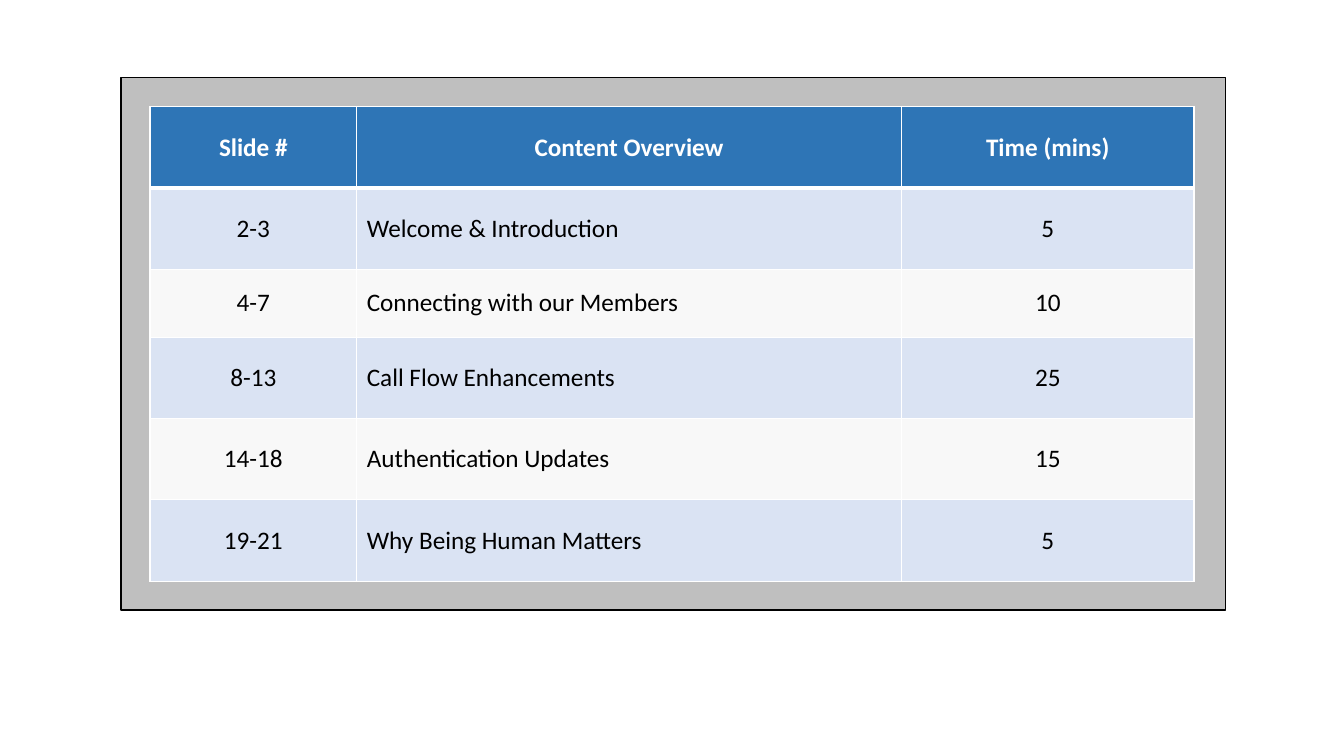
"""Build an agenda slide: a timing table set on a grey panel."""
from dataclasses import dataclass

from lxml import etree
from pptx import Presentation
from pptx.dml.color import RGBColor
from pptx.enum.shapes import MSO_SHAPE
from pptx.enum.text import MSO_ANCHOR, PP_ALIGN
from pptx.oxml.ns import qn
from pptx.slide import Slide
from pptx.table import _Cell
from pptx.util import Cm, Pt

RECTANGLE = MSO_SHAPE.RECTANGLE
MIDDLE = MSO_ANCHOR.MIDDLE
LEFT, CENTER = PP_ALIGN.LEFT, PP_ALIGN.CENTER


@dataclass(frozen=True)
class Theme:
    font: str = "Calibri"
    text_size: float = 18
    panel: str = "BFBFBF"
    outline: str = "000000"
    header: str = "2E75B6"
    header_text: str = "FFFFFF"
    body_text: str = "000000"
    odd_row: str = "DAE3F3"
    even_row: str = "F8F8F8"
    border: str = "FFFFFF"
    thin: float = 1
    thick: float = 3


@dataclass(frozen=True)
class Column:
    title: str
    width: float
    align: PP_ALIGN


@dataclass(frozen=True)
class Session:
    slides: str
    topic: str
    minutes: str
    height: float = 2.05


THEME = Theme()
HEADER_HEIGHT = 2.05
COLUMNS = [
    Column("Slide #", 5.21, CENTER),
    Column("Content Overview", 13.73, LEFT),
    Column("Time (mins)", 7.37, CENTER),
]
SESSIONS = [
    Session("2-3", "Welcome & Introduction", "5"),
    Session("4-7", "Connecting with our Members", "10", height=1.71),
    Session("8-13", "Call Flow Enhancements", "25"),
    Session("14-18", "Authentication Updates", "15"),
    Session("19-21", "Why Being Human Matters", "5"),
]


def write_text(cell: _Cell, text: str, *, color: str, align: PP_ALIGN, bold: bool = False) -> None:
    """Write one formatted paragraph into a cell."""
    cell.vertical_anchor = MIDDLE
    para = cell.text_frame.paragraphs[0]
    para.alignment = align
    span = para.add_run()
    span.text = text
    span.font.name = THEME.font
    span.font.size = Pt(THEME.text_size)
    span.font.bold = bold
    span.font.color.rgb = RGBColor.from_string(color)


def style_cell(cell: _Cell, fill: str, *, top: float, bottom: float) -> None:
    """Give a cell its four borders and its fill."""
    properties = cell._tc.get_or_add_tcPr()
    widths = {"lnL": THEME.thin, "lnR": THEME.thin, "lnT": top, "lnB": bottom}
    for side, width in widths.items():
        line = etree.SubElement(properties, qn(f"a:{side}"), w=str(Pt(width)))
        paint = etree.SubElement(line, qn("a:solidFill"))
        etree.SubElement(paint, qn("a:srgbClr"), val=THEME.border)
    cell.fill.solid()
    cell.fill.fore_color.rgb = RGBColor.from_string(fill)


def add_panel(page: Slide) -> None:
    """Draw the outlined panel behind the table."""
    box = page.shapes.add_shape(RECTANGLE, Cm(3.05), Cm(1.96), Cm(27.84), Cm(13.41))
    box.shadow.inherit = False
    box.fill.solid()
    box.fill.fore_color.rgb = RGBColor.from_string(THEME.panel)
    box.line.color.rgb = RGBColor.from_string(THEME.outline)
    box.line.width = Pt(THEME.thin)


def add_agenda(page: Slide) -> None:
    """Add the agenda table with its header and sessions."""
    heights = [HEADER_HEIGHT, *(session.height for session in SESSIONS)]
    width = sum(column.width for column in COLUMNS)
    frame = page.shapes.add_table(
        len(heights), len(COLUMNS), Cm(3.78), Cm(2.69), Cm(width), Cm(sum(heights))
    )
    table = frame.table
    for row, height in zip(table.rows, heights):
        row.height = Cm(height)
    for index, column in enumerate(COLUMNS):
        table.columns[index].width = Cm(column.width)
        cell = table.cell(0, index)
        style_cell(cell, THEME.header, top=THEME.thin, bottom=THEME.thick)
        write_text(cell, column.title, color=THEME.header_text, align=CENTER, bold=True)
    for number, session in enumerate(SESSIONS, start=1):
        fill = THEME.odd_row if number % 2 else THEME.even_row
        top = THEME.thick if number == 1 else THEME.thin
        values = (session.slides, session.topic, session.minutes)
        for index, (column, value) in enumerate(zip(COLUMNS, values)):
            cell = table.cell(number, index)
            style_cell(cell, fill, top=top, bottom=THEME.thin)
            write_text(cell, value, color=THEME.body_text, align=column.align)


def main() -> None:
    """Create the deck and save it."""
    deck = Presentation()
    deck.slide_width, deck.slide_height = Cm(33.87), Cm(19.05)
    page = deck.slides.add_slide(deck.slide_layouts[6])
    add_panel(page)
    add_agenda(page)
    deck.save("out.pptx")


if __name__ == "__main__":
    main()
